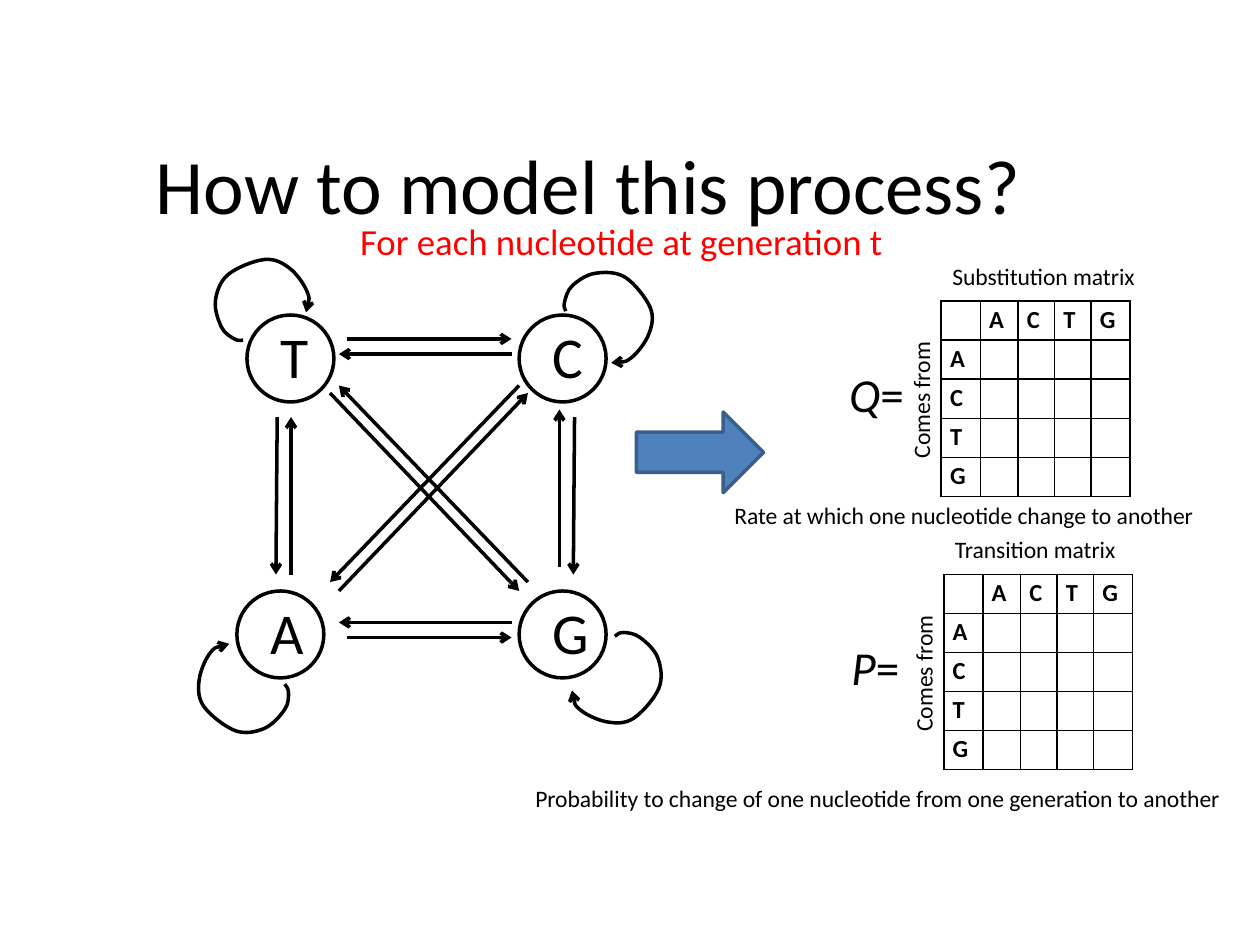
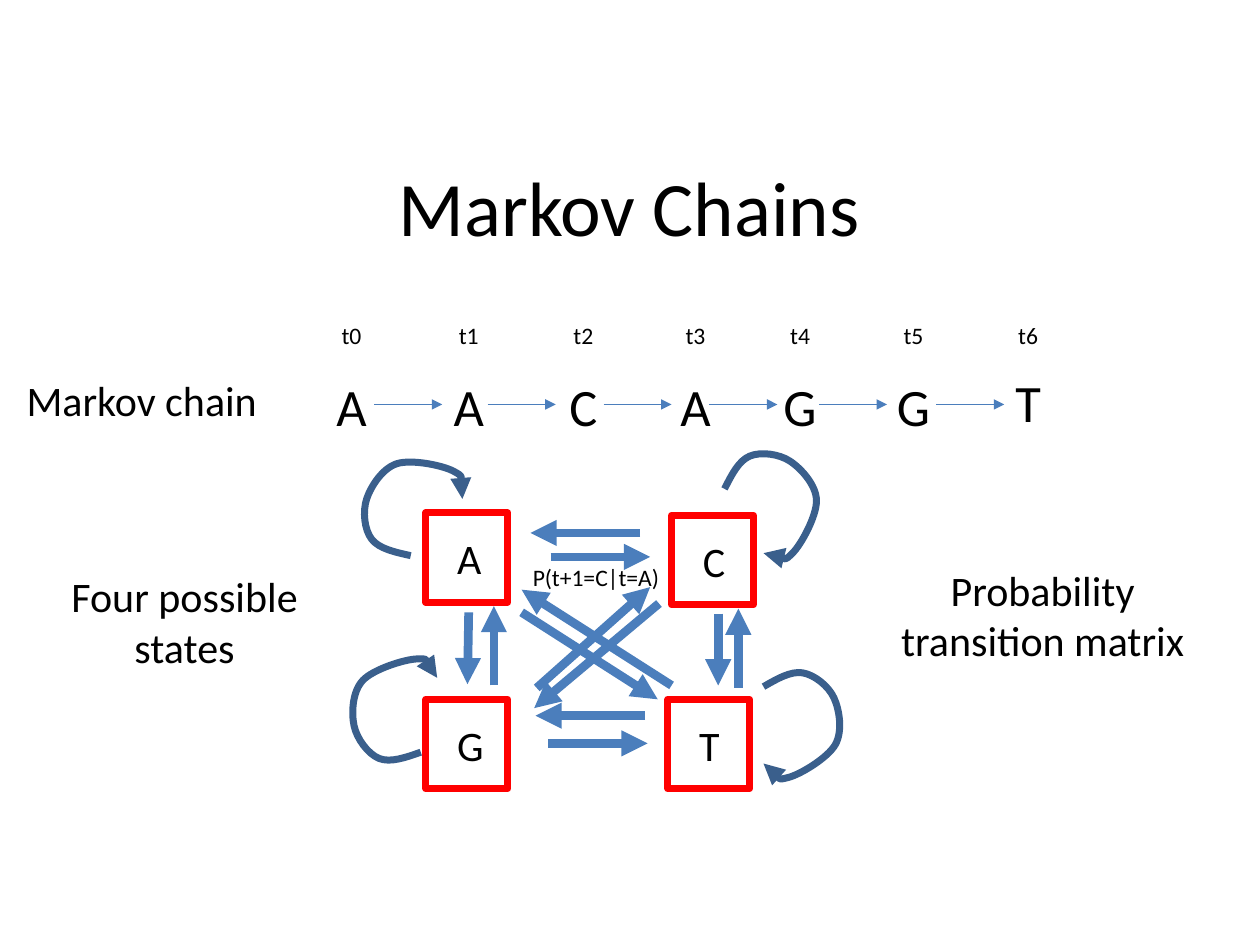
import pptx
import pptx.util
import pptx.dml.color
import pptx.enum.shapes
import pptx.enum.text
import pptx.oxml.ns
from lxml import etree

Inches = pptx.util.Inches
Pt = pptx.util.Pt
qn = pptx.oxml.ns.qn
SHAPE = pptx.enum.shapes.MSO_SHAPE
LEFT = pptx.enum.text.PP_ALIGN.LEFT
CENTER = pptx.enum.text.PP_ALIGN.CENTER

# Shared look
FONT = "Calibri"
COLORS = {"ink": "000000", "red": "FF0000", "blue": "4F81BD",
          "edge": "3A5F8C", "arrow": "4B7EBC"}
TITLE, SMALL, LABEL = 44, 13.5, 24

# Slide 1: nucleotide graph and matrices
MODEL_TITLE = ("How to model this process? ", (0.16, 0.91, 9.16, 1.09))
CIRCLE = 0.69
NUCLEOTIDES = [  # letter, circle left, circle top, letter width
    ("T", 1.96, 2.5, 0.43), ("A", 1.88, 4.69, 0.47),
    ("C", 4.12, 2.5, 0.45), ("G", 4.12, 4.69, 0.49)]
SUBSTITUTIONS = [  # arrow start and tip
    (2.75, 2.69, 4.06, 2.69), (4.06, 2.81, 2.69, 2.81),
    (2.2, 3.31, 2.19, 4.56), (2.31, 4.56, 2.31, 3.31),
    (4.56, 3.31, 4.55, 4.56), (4.44, 4.5, 4.44, 3.25),
    (2.75, 5.06, 4.06, 5.06), (4.06, 4.94, 2.69, 4.94),
    (2.62, 3.12, 4.12, 4.69), (4.19, 4.62, 2.69, 3.06),
    (4.12, 3.06, 2.62, 4.62), (2.69, 4.69, 4.19, 3.12)]
NUCLEOTIDE_LOOPS = [  # points each curve passes through, tip last
    [(1.93, 2.7), (1.86, 2.69), (1.76, 2.6), (1.71, 2.39), (1.81, 2.18),
     (2.1, 2.06), (2.3, 2.13), (2.44, 2.32), (2.43, 2.48)],
    [(4.49, 2.47), (4.48, 2.4), (4.54, 2.27), (4.72, 2.17), (4.96, 2.2),
     (5.16, 2.44), (5.15, 2.65), (5.01, 2.84), (4.85, 2.88)],
    [(2.26, 5.43), (2.29, 5.5), (2.26, 5.63), (2.1, 5.78), (1.87, 5.8),
     (1.62, 5.61), (1.58, 5.4), (1.67, 5.18), (1.82, 5.11)],
    [(4.88, 5.05), (4.95, 5.02), (5.08, 5.06), (5.22, 5.22), (5.23, 5.46),
     (5.03, 5.7), (4.82, 5.73), (4.6, 5.63), (4.54, 5.48)]]
BASES = "ACTG"
MATRIX_COLS = [0.31, 0.3, 0.29, 0.29, 0.31]
MATRIX_ROW = 0.31
MATRICES = [  # symbol, symbol box, table corner, heading, heading box
    ("Q", (6.64, 2.85, 0.68, 0.56), (7.47, 2.39),
     "Substitution matrix", (7.46, 2.03, 1.68, 0.33)),
    ("P", (6.66, 5.02, 0.63, 0.56), (7.49, 4.56),
     "Transition matrix", (7.48, 4.2, 1.5, 0.33))]
MODEL_NOTES = [
    ("For each nucleotide at generation t", (2.76, 1.69, 4.39, 0.45), 21, "red"),
    ("Rate at which one nucleotide change to another",
     (5.73, 3.93, 3.94, 0.33), SMALL, "ink"),
    ("Probability to change of one nucleotide from one generation to another",
     (4.15, 6.17, 5.72, 0.33), SMALL, "ink")]

# Slide 2: chain over time and its states
CHAIN_TITLE = ("Markov Chains", (1.62, 1.16, 6.75, 0.94))
CHAIN = [  # letter, centre, letter top
    ("A", 2.79, 2.92), ("A", 3.72, 2.92), ("C", 4.63, 2.92), ("A", 5.52, 2.92),
    ("G", 6.35, 2.92), ("G", 7.25, 2.92), ("T", 8.16, 2.89)]
STEP_STARTS = [2.97, 3.87, 4.79, 5.63, 6.5, 7.43]
STEP_LENGTH, STEP_Y = 0.54, 3.21
STATES = [  # letter, square left, square top, letter width
    ("A", 3.38, 4.07, 0.4), ("C", 5.33, 4.09, 0.38),
    ("G", 3.38, 5.55, 0.41), ("T", 5.3, 5.55, 0.37)]
TRANSITIONS = [
    (4.37, 4.42, 5.16, 4.42), (5.08, 4.23, 4.21, 4.23),
    (3.72, 4.86, 3.71, 5.43), (3.92, 5.44, 3.92, 4.81),
    (4.35, 5.9, 5.14, 5.9), (5.12, 5.68, 4.25, 5.68),
    (5.7, 4.87, 5.7, 5.44), (5.86, 5.46, 5.86, 4.83),
    (4.14, 4.86, 5.22, 5.55), (5.33, 5.44, 4.14, 4.68),
    (4.26, 5.46, 5.16, 4.66), (5.23, 4.79, 4.24, 5.62)]
STATE_LOOPS = [
    [(3.26, 4.41), (2.95, 4.28), (2.91, 3.96), (3.15, 3.68), (3.6, 3.74), (3.67, 3.96)],
    [(3.34, 5.97), (3.01, 6.02), (2.81, 5.76), (2.88, 5.4), (3.31, 5.23), (3.47, 5.38)],
    [(5.75, 3.88), (5.95, 3.62), (6.27, 3.66), (6.48, 3.97), (6.29, 4.39), (6.06, 4.39)],
    [(6.06, 5.45), (6.37, 5.34), (6.62, 5.54), (6.63, 5.91), (6.26, 6.17), (6.06, 6.06)]]
CHAIN_NOTES = [
    ("Probability transition matrix", (6.82, 4.43, 2.91, 0.91)),
    ("Markov chain", (-0.33, 2.92, 2.91, 0.5)),
    ("Four possible states", (0.33, 4.48, 2.27, 0.91))]


def rgb(name):
    return pptx.dml.color.RGBColor.from_string(COLORS[name])


def add_run(p, text, size, color="ink", **fmt):
    r = p.add_run()
    r.text = text
    for key, value in {"name": FONT, "size": Pt(size), **fmt}.items():
        setattr(r.font, key, value)
    r.font.color.rgb = rgb(color)


def add_text(s, text, box, size, color="ink", align=LEFT, wrap=False, anchor="TOP"):
    sp = s.shapes.add_textbox(*map(Inches, box))
    tf = sp.text_frame
    tf.word_wrap = wrap
    tf.vertical_anchor = getattr(pptx.enum.text.MSO_ANCHOR, anchor)
    p = tf.paragraphs[0]
    p.alignment = align
    if text:
        add_run(p, text, size, color)
    return sp


def add_title(s, text, box):
    add_text(s, text, box, TITLE, align=CENTER, wrap=True, anchor="MIDDLE")


def set_line(sp, color, width, arrow=None):
    sp.line.color.rgb = rgb(color)
    sp.line.width = Pt(width)
    if arrow:
        etree.SubElement(sp.line._get_or_add_ln(), qn("a:tailEnd"), type=arrow)


def add_outline(s, kind, box, color, width, fill=None):
    sp = s.shapes.add_shape(kind, *map(Inches, box))
    sp.shadow.inherit = False
    if fill:
        sp.fill.solid()
        sp.fill.fore_color.rgb = rgb(fill)
    else:
        sp.fill.background()
    set_line(sp, color, width)


def add_arrow(s, ends, color, width, arrow):
    sp = s.shapes.add_connector(pptx.enum.shapes.MSO_CONNECTOR.STRAIGHT,
                                *map(Inches, ends))
    set_line(sp, color, width, arrow)
    etree.SubElement(sp._element.spPr, qn("a:effectLst"))


def curve_points(pts):
    """Bezier control and end points of a smooth curve through pts."""
    def control(i, sign):
        return tuple(c + sign * (b - a) / 6
                     for a, c, b in zip(pts[i - 1], pts[i], pts[i + 1]))

    def middle(a, b):
        return tuple((m + n) / 2 for m, n in zip(a, b))

    out, last = [], len(pts) - 1
    for i in range(last):
        c1 = control(i, 1) if i else None
        c2 = control(i + 1, -1) if i + 1 < last else middle(c1, pts[last])
        out += [c1 or middle(pts[0], c2), c2, pts[i + 1]]
    return out


def add_loop(s, pts, color, width, arrow):
    fb = s.shapes.build_freeform(Inches(pts[0][0]), Inches(pts[0][1]))
    fb.add_line_segments([(Inches(x), Inches(y)) for x, y in curve_points(pts)],
                         close=False)
    sp = fb.convert_to_shape()
    sp.shadow.inherit = False
    sp.fill.background()
    set_line(sp, color, width, arrow)
    # Join each three line points into one curve segment
    segments = list(sp._element.iter(qn("a:lnTo")))
    for i in range(0, len(segments), 3):
        curve = etree.Element(qn("a:cubicBezTo"))
        segments[i].addprevious(curve)
        for seg in segments[i:i + 3]:
            curve.append(seg[0])
            seg.getparent().remove(seg)


def add_matrix(s, left, top):
    n = len(MATRIX_COLS)
    table = s.shapes.add_table(n, n, Inches(left), Inches(top),
                               Inches(sum(MATRIX_COLS)), Inches(n * MATRIX_ROW)).table
    table.first_row = table.horz_banding = False
    for col, width in zip(table.columns, MATRIX_COLS):
        col.width = Inches(width)
    heads = " " + BASES
    for i, row in enumerate(table.rows):
        row.height = Inches(MATRIX_ROW)
        for j, cell in enumerate(row.cells):
            for side, gap in {"left": 0.07, "right": 0.07, "top": 0.03, "bottom": 0.03}.items():
                setattr(cell, "margin_" + side, Inches(gap))
            p = cell.text_frame.paragraphs[0]
            if (i == 0) != (j == 0):
                add_run(p, heads[i + j], 14, bold=True)
            else:
                etree.SubElement(p._p, qn("a:endParaRPr"), sz="1400")
            tc_pr = cell._tc.get_or_add_tcPr()
            for edge in ("lnL", "lnR", "lnT", "lnB"):
                ln = etree.SubElement(tc_pr, qn("a:" + edge), w=str(Pt(1)))
                paint = etree.SubElement(ln, qn("a:solidFill"))
                etree.SubElement(paint, qn("a:srgbClr"), val=COLORS["ink"])
            cell.fill.background()


def build_model(s):
    add_title(s, *MODEL_TITLE)
    # Nucleotides and the changes between them
    for letter, x, y, w in NUCLEOTIDES:
        add_outline(s, SHAPE.OVAL, (x, y, CIRCLE, CIRCLE), "ink", 2)
        add_text(s, letter, (x + 0.17, y, w, 0.66), 33)
    for ends in SUBSTITUTIONS:
        add_arrow(s, ends, "ink", 2, "arrow")
    for pts in NUCLEOTIDE_LOOPS:
        add_loop(s, pts, "ink", 2, "arrow")
    add_outline(s, SHAPE.RIGHT_ARROW, (5.05, 3.27, 1.01, 0.64), "edge", 2, "blue")
    # Matrices with their symbols and headings
    for symbol, symbol_box, (left, top), heading, heading_box in MATRICES:
        add_matrix(s, left, top)
        p = add_text(s, "", symbol_box, 27).text_frame.paragraphs[0]
        add_run(p, symbol, 27, italic=True)
        add_run(p, "=", 27)
        sp = add_text(s, "Comes from", (left - 0.73, top + 0.61, 1.14, 0.33), SMALL)
        sp.rotation = 270
        add_text(s, heading, heading_box, SMALL)
    for note in MODEL_NOTES:
        add_text(s, *note)


def build_chain(s):
    add_title(s, *CHAIN_TITLE)
    # Chain over time
    for t, (letter, centre, top) in enumerate(CHAIN):
        add_text(s, letter, (centre - 0.23, top, 0.46, 0.61), 30, align=CENTER)
        add_text(s, f"t{t}", (centre - 0.18, 2.5, 0.36, 0.33), SMALL, align=CENTER)
    for x in STEP_STARTS:
        add_arrow(s, (x, STEP_Y, x + STEP_LENGTH, STEP_Y), "arrow", 0.75, "triangle")
    # States and transitions
    for letter, x, y, w in STATES:
        add_outline(s, SHAPE.RECTANGLE, (x, y, 0.65, 0.71), "red", 4)
        add_text(s, letter, (x + 0.15, y + 0.11, w, 0.5), LABEL)
    for ends in TRANSITIONS:
        add_arrow(s, ends, "arrow", 5, "triangle")
    for pts in STATE_LOOPS:
        add_loop(s, pts, "edge", 4, "triangle")
    for text, box in CHAIN_NOTES:
        add_text(s, text, box, LABEL, align=CENTER, wrap=True)
    add_text(s, "P(t+1=C|t=A)", (4.13, 4.42, 1.22, 0.33), SMALL)


def main():
    prs = pptx.Presentation()
    prs.slide_width, prs.slide_height = Inches(10), Inches(7.5)
    for build in (build_model, build_chain):
        build(prs.slides.add_slide(prs.slide_layouts[6]))
    prs.save("out.pptx")


if __name__ == "__main__":
    main()
